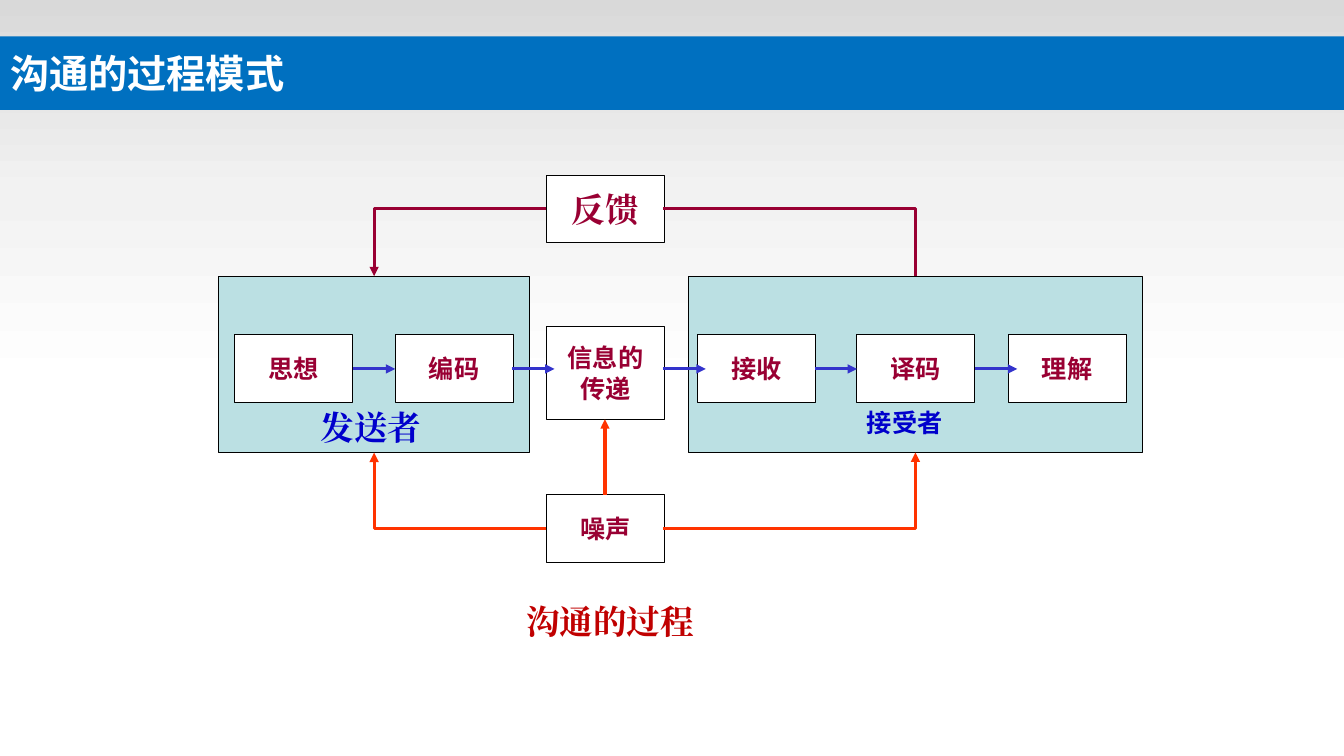
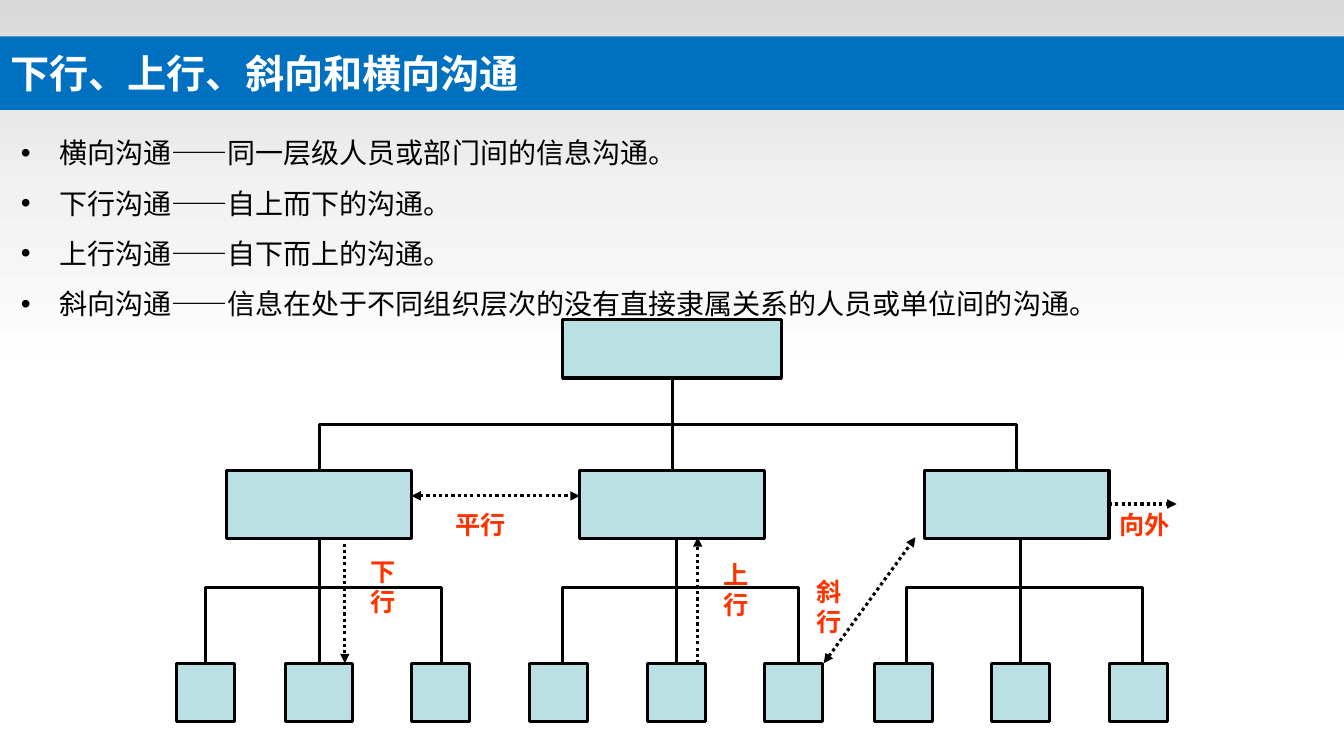
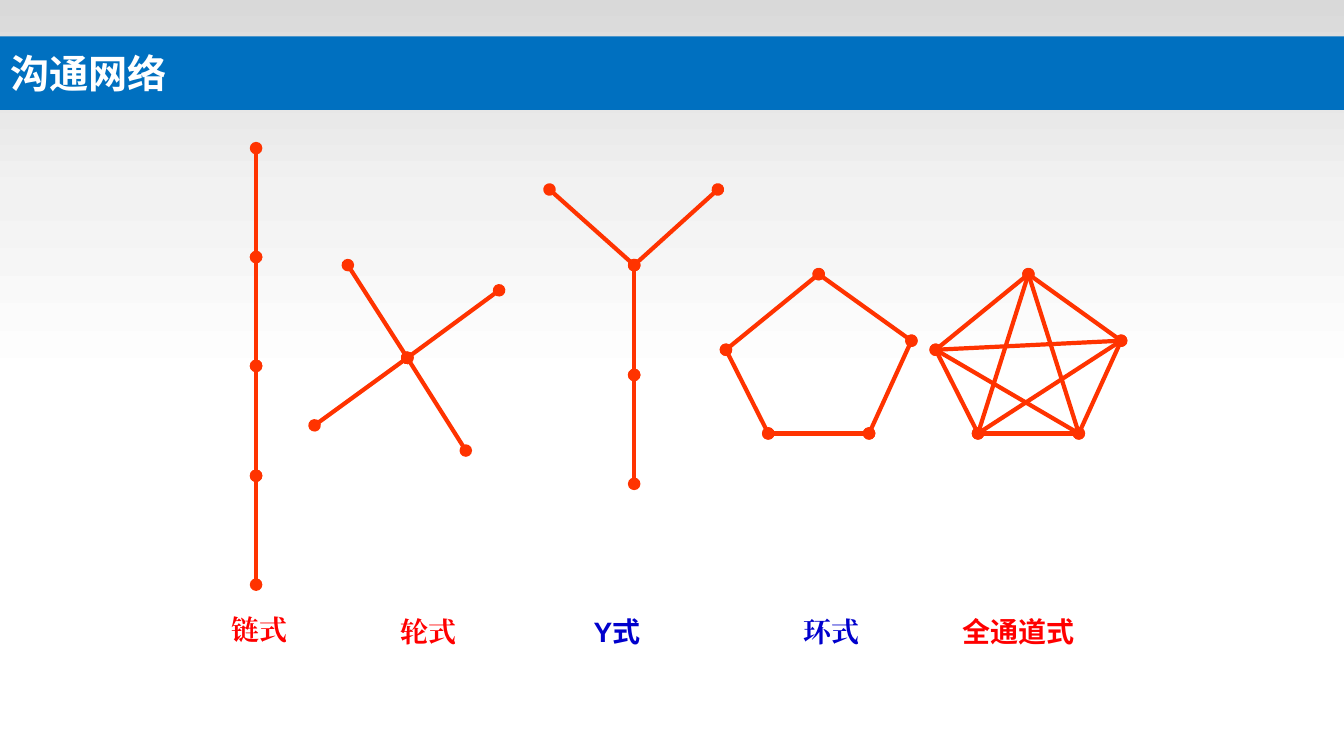
"""Build three slides on communication processes, directions and networks."""
from copy import deepcopy
from dataclasses import dataclass
from itertools import combinations

from lxml.etree import SubElement
from pptx import Presentation
from pptx.dml.color import RGBColor
from pptx.enum.dml import MSO_LINE
from pptx.enum.shapes import MSO_CONNECTOR, MSO_SHAPE
from pptx.enum.text import MSO_ANCHOR, MSO_AUTO_SIZE, PP_ALIGN
from pptx.oxml.ns import qn
from pptx.util import Pt

PX = 9144
WIDTH, HEIGHT = 1333, 750
Point = tuple[int, int]
Area = tuple[int, int, int, int]


@dataclass(frozen=True)
class Theme:
    white: str = "FFFFFF"
    black: str = "000000"
    silver: str = "D9D9D9"
    mist: str = "F2F2F2"
    band: str = "0070C0"
    panel: str = "BBE0E3"
    wine: str = "990033"
    navy: str = "0000CC"
    flow: str = "3333CC"
    orange: str = "FF3300"
    red: str = "FF0000"
    crimson: str = "C00000"
    sans: str = "Arial"
    serif: str = "Times New Roman"
    chinese: str = "Noto Sans CJK SC"
    title: int = 28
    large: int = 24
    medium: int = 20
    small: int = 18


THEME = Theme()


@dataclass(frozen=True)
class Label:
    text: str
    area: Area
    size: int = THEME.small
    font: str = THEME.sans
    color: str = THEME.orange
    align: PP_ALIGN = PP_ALIGN.LEFT


@dataclass(frozen=True)
class Step:
    text: str
    area: Area
    size: int = THEME.small
    font: str = THEME.sans


@dataclass(frozen=True)
class Signal:
    start: Point
    end: Point
    head: str = ""


@dataclass(frozen=True)
class Network:
    label: Label
    nodes: list[Point]
    links: list[Point]
    full: bool = False


def emu(*lengths: int) -> list[int]:
    return [length * PX for length in lengths]


def rgb(color: str) -> RGBColor:
    return RGBColor.from_string(color)


def write(frame, text: str, *, size: int, font: str, color: str, bold: bool = True,
          align: PP_ALIGN = PP_ALIGN.LEFT, anchor: MSO_ANCHOR = MSO_ANCHOR.TOP,
          wrap: bool = True, grow: bool = False, bullet: str = "",
          indent: int = 0, leading: int = 0) -> None:
    frame.auto_size = MSO_AUTO_SIZE.SHAPE_TO_FIT_TEXT if grow else MSO_AUTO_SIZE.NONE
    frame.word_wrap = wrap
    frame.vertical_anchor = anchor
    for index, line in enumerate(text.split("\n")):
        paragraph = frame.add_paragraph() if index else frame.paragraphs[0]
        paragraph.alignment = align
        if leading:
            paragraph.line_spacing = Pt(leading)
        if bullet:
            props = paragraph._p.get_or_add_pPr()
            props.set("marL", str(indent * PX))
            props.set("indent", str(-indent * PX))
            SubElement(props, qn("a:buFont"), typeface=THEME.sans)
            SubElement(props, qn("a:buChar"), char=bullet)
        run = paragraph.add_run()
        run.text = line
        run.font.size, run.font.bold, run.font.name = Pt(size), bold, font
        run.font.color.rgb = rgb(color)
        SubElement(run._r.get_or_add_rPr(), qn("a:ea"), typeface=font)


def add_box(slide, area: Area, fill: str, weight: float = 0):
    box = slide.shapes.add_shape(MSO_SHAPE.RECTANGLE, *emu(*area))
    box.shadow.inherit = False
    box.fill.solid()
    box.fill.fore_color.rgb = rgb(fill)
    if weight:
        box.line.color.rgb = rgb(THEME.black)
        box.line.width = Pt(weight)
    else:
        box.line.fill.background()
    return box


def add_label(slide, label: Label) -> None:
    frame = slide.shapes.add_textbox(*emu(*label.area)).text_frame
    write(frame, label.text, size=label.size, font=label.font, color=label.color,
          align=label.align, grow=True)


def add_line(slide, start: Point, end: Point, color: str, *, weight: float = 2.25,
             head: str = "", tail: str = "", dotted: bool = False, bent: bool = False) -> None:
    kind = MSO_CONNECTOR.ELBOW if bent else MSO_CONNECTOR.STRAIGHT
    connector = slide.shapes.add_connector(kind, *emu(*start, *end))
    connector.line.color.rgb = rgb(color)
    connector.line.width = Pt(weight)
    if dotted:
        connector.line.dash_style = MSO_LINE.ROUND_DOT
    props = connector._element.spPr
    for tag, ending in (("a:headEnd", head), ("a:tailEnd", tail)):
        if ending:
            SubElement(props.find(qn("a:ln")), qn(tag), type=ending)
    SubElement(props, qn("a:effectLst"))
    if bent:
        props.find(qn("a:prstGeom")).set("prst", "bentConnector2")
        if end[0] < start[0]:
            frame = props.find(qn("a:xfrm"))
            frame.set("rot", "10800000")
            frame.set("flipH", "0")
            frame.set("flipV", "0" if end[1] < start[1] else "1")


def add_fork(slide, x: int, top: int, split: int, bottom: int, branches: list[int]) -> None:
    add_line(slide, (x, top), (x, bottom), THEME.black)
    for branch in branches:
        add_line(slide, (x, split), (branch, bottom), THEME.black, bent=True)


def add_backdrop(slide) -> None:
    strip = add_box(slide, (0, 76, WIDTH, 24), THEME.silver)
    fade = add_box(slide, (0, 0, WIDTH, 383), THEME.white)
    fade.fill.gradient()
    fade.fill.gradient_angle = 270
    stops = fade._element.spPr.find(f".//{qn('a:gsLst')}")
    stops.append(deepcopy(stops[0]))
    colors = (THEME.silver, THEME.mist, THEME.white)
    for index, (stop, color) in enumerate(zip(fade.fill.gradient_stops, colors)):
        stop.position = index / 2
        stop.color.rgb = rgb(color)
    for part in (strip, fade):
        slide.slide_layout.shapes._spTree.insert(2, part._element)


def add_slide(deck, title: str):
    slide = deck.slides.add_slide(deck.slide_layouts[5])
    heading = slide.shapes.title
    heading.left, heading.top, heading.width, heading.height = emu(0, 36, WIDTH, 73)
    heading.fill.solid()
    heading.fill.fore_color.rgb = rgb(THEME.band)
    write(heading.text_frame, title, size=THEME.title, font=THEME.chinese,
          color=THEME.white, anchor=MSO_ANCHOR.MIDDLE)
    return slide


def draw_process(slide) -> None:
    for party in ((683, 274, 450, 175), (217, 274, 308, 175)):
        add_box(slide, party, THEME.panel, 0.75)
    steps = [Step(text, (left, 332, 117, 67)) for text, left in
             (("思想", 233), ("编码", 392), ("接收", 692), ("译码", 850), ("理解", 1000))]
    steps += [
        Step("信息的\n传递", (542, 324, 117, 92)),
        Step("噪声", (542, 491, 117, 67)),
        Step("反馈", (542, 174, 117, 67), THEME.large, THEME.serif),
    ]
    for step in steps:
        box = add_box(slide, step.area, THEME.white, 0.75)
        write(box.text_frame, step.text, size=step.size, font=step.font, color=THEME.wine,
              align=PP_ALIGN.CENTER, anchor=MSO_ANCHOR.MIDDLE, wrap=False)
    for label in (
        Label("发送者", (308, 399, 142, 50), THEME.large, THEME.serif, THEME.navy),
        Label("接受者", (850, 399, 142, 40), color=THEME.navy),
        Label("沟通的过程", (409, 591, 392, 50), THEME.large, THEME.serif, THEME.crimson,
              PP_ALIGN.CENTER),
    ):
        add_label(slide, label)
    add_line(slide, (600, 491), (600, 416), THEME.orange, tail="triangle")
    for side, party, feedback_tail in ((542, 371, "triangle"), (658, 908, "")):
        add_line(slide, (side, 524), (party, 449), THEME.orange, tail="triangle", bent=True)
        add_line(slide, (side, 207), (party, 274), THEME.wine, tail=feedback_tail, bent=True)
    for left in (350, 508, 658, 808, 967):
        add_line(slide, (left, 366), (left + 42, 366), THEME.flow, tail="triangle")


def draw_directions(slide) -> None:
    definitions = (
        "横向沟通——同一层级人员或部门间的信息沟通。\n"
        "下行沟通——自上而下的沟通。\n"
        "上行沟通——自下而上的沟通。\n"
        "斜向沟通——信息在处于不同组织层次的没有直接隶属关系的人员或单位间的沟通。"
    )
    frame = slide.shapes.add_textbox(*emu(11, 113, 1207, 523)).text_frame
    write(frame, definitions, size=THEME.medium, font=THEME.chinese, color=THEME.black,
          bold=False, bullet="•", indent=38, leading=36)
    units = [(558, 317, 217, 58)]
    units += [(left, 467, 183, 67) for left in (225, 575, 917)]
    units += [(left, 658, 67 if left == 283 else 58, 58)
              for left in (175, 283, 408, 525, 642, 758, 867, 983, 1100)]
    for unit in units:
        add_box(slide, unit, THEME.panel, 2.25)
    add_fork(slide, 667, 377, 421, 465, [317, 1008])
    for trunk in (317, 671, 1012):
        add_fork(slide, trunk, 534, 583, 658, [trunk - 113, trunk + 121])
    for signal in (
        Signal((408, 492), (575, 492), "triangle"),
        Signal((342, 533), (342, 658)),
        Signal((692, 658), (692, 533)),
        Signal((817, 658), (908, 533), "triangle"),
        Signal((1100, 500), (1167, 500)),
    ):
        add_line(slide, signal.start, signal.end, THEME.black, head=signal.head,
                 tail="triangle", dotted=True)
    for label in (
        Label("平行", (442, 500, 100, 40)),
        Label("下行", (358, 547, 42, 70)),
        Label("上行", (708, 550, 42, 70)),
        Label("斜行", (800, 567, 67, 70)),
        Label("向外", (1100, 500, 75, 40)),
    ):
        add_label(slide, label)


def draw_networks(slide) -> None:
    ring = [(762, 430), (720, 347), (812, 272), (904, 338), (862, 430)]
    circuit = [(node, (node + 1) % 5) for node in range(5)]
    networks = [
        Network(Label("链式", (220, 603, 100, 43), THEME.medium, THEME.serif, THEME.red),
                [(254, 147 + round(108.25 * node)) for node in range(5)],
                [(node, node + 1) for node in range(4)]),
        Network(Label("轮式", (387, 605, 100, 43), THEME.medium, THEME.serif, THEME.red),
                [(404, 355), (345, 263), (462, 447), (495, 288), (312, 422)],
                [(0, rim) for rim in range(1, 5)]),
        Network(Label("Y式", (579, 605, 100, 43), THEME.medium, THEME.sans, THEME.navy),
                [(712, 188), (545, 188), (629, 263), (629, 372), (629, 480)],
                [(0, 2), (1, 2), (2, 3), (3, 4)]),
        Network(Label("环式", (787, 605, 100, 43), THEME.medium, THEME.serif, THEME.navy),
                ring, circuit),
        Network(Label("全通道式", (945, 605, 158, 43), THEME.medium, THEME.sans, THEME.red),
                [(x + 208, y) for x, y in ring], circuit, full=True),
    ]
    for network in networks:
        nodes = network.nodes
        for first, last in network.links:
            add_line(slide, nodes[first], nodes[last], THEME.orange, weight=3,
                     head="oval", tail="oval")
        if network.full:
            for first, last in combinations(range(5), 2):
                if last - first in (2, 3):
                    add_line(slide, nodes[first], nodes[last], THEME.orange, weight=3)
        add_label(slide, network.label)


def main() -> None:
    deck = Presentation()
    deck.slide_width, deck.slide_height = emu(WIDTH, HEIGHT)
    pages = (("沟通的过程模式", draw_process),
             ("下行、上行、斜向和横向沟通", draw_directions),
             ("沟通网络", draw_networks))
    for title, draw in pages:
        draw(add_slide(deck, title))
    add_backdrop(deck.slides[0])
    deck.save("out.pptx")


if __name__ == "__main__":
    main()
